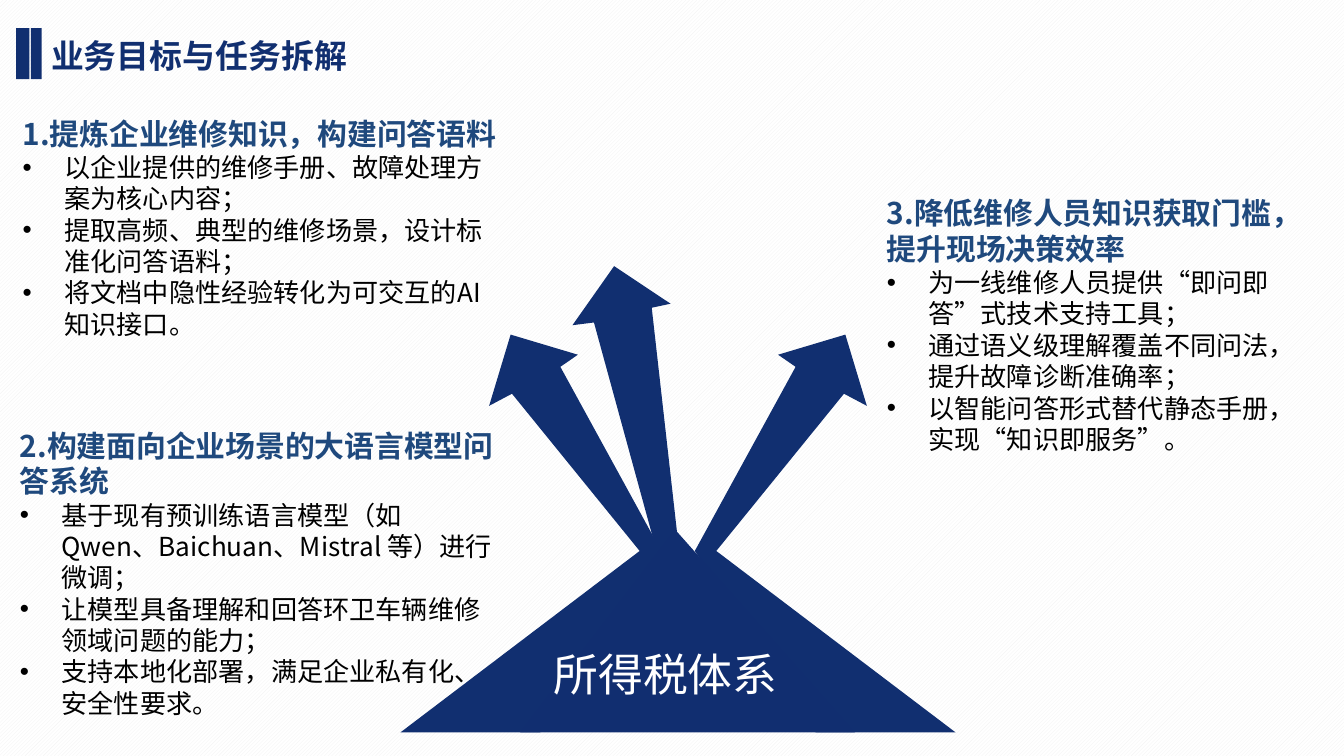
from dataclasses import dataclass

from pptx import Presentation
from pptx.dml.color import RGBColor
from pptx.enum.dml import MSO_PATTERN
from pptx.enum.shapes import MSO_SHAPE
from pptx.enum.text import MSO_ANCHOR, PP_ALIGN
from pptx.oxml.ns import qn
from pptx.util import Inches, Pt
from lxml.etree import SubElement

NAVY = RGBColor(0x11, 0x2F, 0x70)
PEAK = RGBColor(0x11, 0x2E, 0x70)
BLUE = RGBColor(0x1F, 0x49, 0x7D)
BLACK = RGBColor(0, 0, 0)
WHITE = RGBColor(0xFF, 0xFF, 0xFF)
GREY = RGBColor(0xF2, 0xF2, 0xF2)
FONT = "Noto Sans CJK SC"
AXIS = 5.045  # mirror line of the side arrows


@dataclass
class Block:
    left: float
    top: float
    width: float
    height: float
    head: str
    items: list[str]


BLOCKS = [
    Block(0.07, 0.81, 3.79, 2.02, "1.提炼企业维修知识，构建问答语料", [
        "以企业提供的维修手册、故障处理方案为核心内容；",
        "提取高频、典型的维修场景，设计标准化问答语料；",
        "将文档中隐性经验转化为可交互的AI知识接口。"]),
    Block(0.05, 3.13, 3.79, 2.29, "2.构建面向企业场景的大语言模型问答系统", [
        "基于现有预训练语言模型（如 Qwen、Baichuan、Mistral 等）进行微调；",
        "让模型具备理解和回答环卫车辆维修领域问题的能力；",
        "支持本地化部署，满足企业私有化、安全性要求。"]),
    Block(6.5, 1.4, 3.23, 2.29, "3.降低维修人员知识获取门槛，提升现场决策效率", [
        "为一线维修人员提供“即问即答”式技术支持工具；",
        "通过语义级理解覆盖不同问法，提升故障诊断准确率；",
        "以智能问答形式替代静态手册，实现“知识即服务”。"]),
]
MIDDLE = [(4.99, 2.26), (4.57, 1.98), (4.26, 2.42), (4.42, 2.4), (4.88, 4.08),
          (3.98, 5.43), (5.05, 5.43), (5.05, 4.07), (4.85, 2.29)]
SIDE = [(3.81, 2.93), (3.64, 3.02), (3.8, 2.49), (4.3, 2.64), (4.17, 2.73),
        (4.92, 4.1), (4.02, 5.45), (2.98, 5.45), (4.76, 4.1)]


def style(para, size: float, color: RGBColor, bold: bool = False) -> None:
    font = para.font
    font.name, font.size, font.bold = FONT, Pt(size), bold
    font.color.rgb = color
    SubElement(font._element, qn("a:ea"), typeface=FONT)


def bullet(para) -> None:
    props = para._p.get_or_add_pPr()
    props.set("marL", str(Inches(0.31)))
    props.set("indent", str(-Inches(0.31)))
    SubElement(props, qn("a:buFont"), typeface="Arial")
    SubElement(props, qn("a:buChar"), char="•")


def paint(shape, color: RGBColor) -> None:
    shape.shadow.inherit = False
    shape.fill.solid()
    shape.fill.fore_color.rgb = color
    shape.line.fill.background()


def arrow(shapes, points: list[tuple[float, float]]) -> None:
    dots = [(Inches(x), Inches(y)) for x, y in points]
    pen = shapes.build_freeform(*dots[0])
    pen.add_line_segments(dots[1:], close=True)
    paint(pen.convert_to_shape(), NAVY)


def preset(shapes, kind: MSO_SHAPE, box: tuple, color: RGBColor):
    shape = shapes.add_shape(kind, *map(Inches, box))
    paint(shape, color)
    return shape


def write(shapes, block: Block) -> None:
    box = shapes.add_textbox(Inches(block.left), Inches(block.top),
                             Inches(block.width), Inches(block.height))
    frame = box.text_frame
    frame.word_wrap = True
    head = frame.paragraphs[0]
    head.text = block.head
    style(head, 16, BLUE, True)
    for item in block.items:
        para = frame.add_paragraph()
        para.text = item
        bullet(para)
        style(para, 14, BLACK)


def main() -> None:
    deck = Presentation()
    deck.slide_width = Inches(10)
    deck.slide_height = deck.slide_width * 9 // 16
    slide = deck.slides.add_slide(deck.slide_layouts[5])
    shapes = slide.shapes

    # Hatched background
    back = slide.background.fill
    back.patterned()
    back.pattern = MSO_PATTERN.LIGHT_UPWARD_DIAGONAL
    back.fore_color.rgb, back.back_color.rgb = GREY, WHITE

    # Title with its two bars
    title = shapes.title
    title.left, title.top = Inches(0.28), Inches(0.21)
    title.width, title.height = Inches(2.42), Inches(0.4)
    title.text_frame.text = "业务目标与任务拆解"
    title.text_frame.vertical_anchor = MSO_ANCHOR.MIDDLE
    para = title.text_frame.paragraphs[0]
    para.alignment = PP_ALIGN.LEFT
    style(para, 17.6, NAVY, True)
    for left, width in ((0.12, 0.1), (0.23, 0.08)):
        preset(shapes, MSO_SHAPE.RECTANGLE, (left, 0.21, width, 0.38), NAVY)

    # Arrows rising from the base
    arrow(shapes, MIDDLE)
    arrow(shapes, SIDE)
    arrow(shapes, [(2 * AXIS - x, y) for x, y in SIDE])
    peak = preset(shapes, MSO_SHAPE.ISOSCELES_TRIANGLE,
                  (3.87, 3.94, 2.49, 1.51), PEAK)
    peak.adjustments[0] = 0.463

    # Base label
    label = shapes.add_textbox(Inches(4.02), Inches(4.76),
                               Inches(1.88), Inches(0.5))
    label.text_frame.word_wrap = False
    para = label.text_frame.paragraphs[0]
    para.text = "所得税体系"
    style(para, 24, WHITE)

    # Goals
    for block in BLOCKS:
        write(shapes, block)

    deck.save("out.pptx")


if __name__ == "__main__":
    main()
